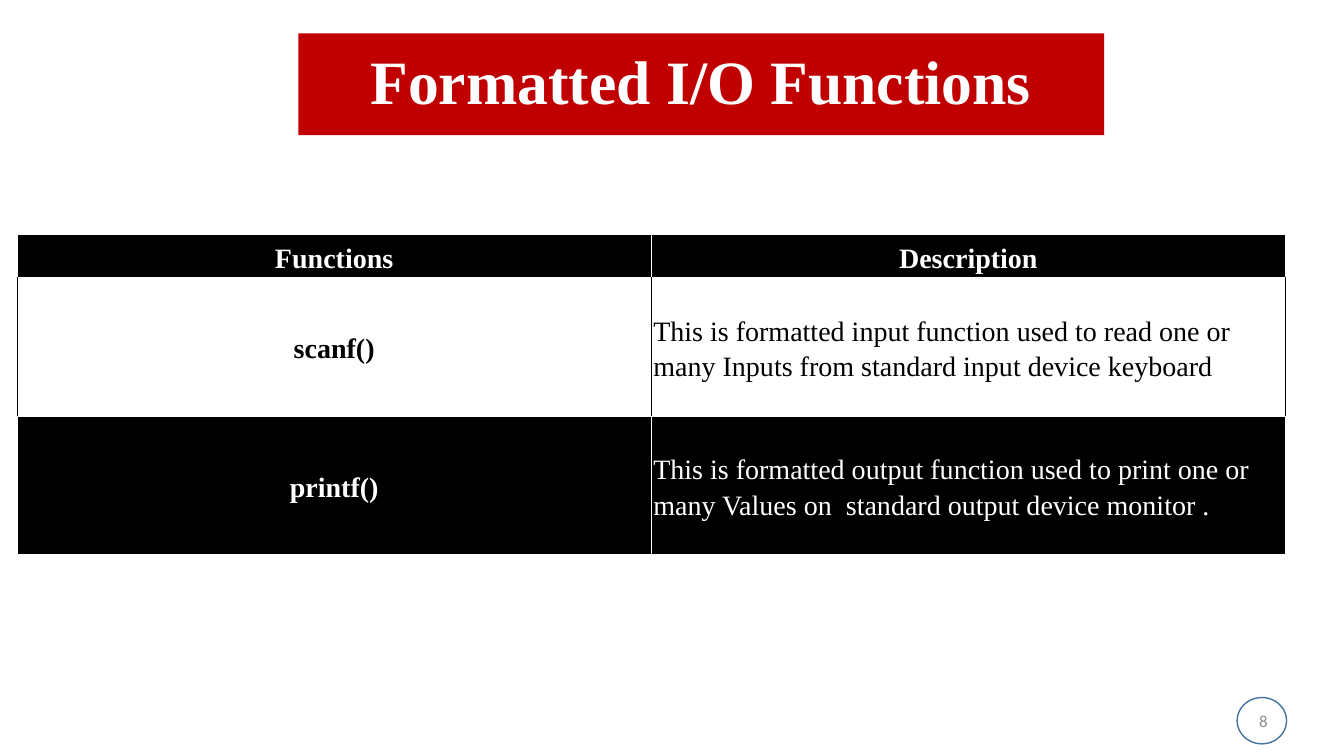
from lxml.etree import SubElement
from pptx import Presentation
from pptx.dml.color import RGBColor
from pptx.enum.shapes import MSO_SHAPE
from pptx.enum.text import MSO_ANCHOR, PP_ALIGN
from pptx.oxml.ns import qn
from pptx.util import Inches, Pt

# Content
TITLE = "Formatted I/O Functions"
PAGE = "8"
ROWS = [
    ("Functions", "Description"),
    ("scanf()", "This is formatted input function used to read one or many "
                "Inputs from standard input device keyboard"),
    ("printf()", "This is formatted output function used to print one or many "
                 "Values on  standard output device monitor ."),
]

# Formats
BLACK = RGBColor(0, 0, 0)
WHITE = RGBColor(0xFF, 0xFF, 0xFF)
RED = RGBColor(0xC0, 0, 0)
GRAY = RGBColor(0x8C, 0x8C, 0x8C)
BLUE = RGBColor(0x43, 0x73, 0x9E)
SERIF = "Times New Roman"
ROW_HEIGHTS = (0.39, 1.38, 1.37)
COLUMN_WIDTH = 6.29
CELL_MARGIN = Inches(0.02)


def write(tf, text, align, spacing, **font):
    tf.word_wrap = True
    tf.vertical_anchor = MSO_ANCHOR.MIDDLE
    p = tf.paragraphs[0]
    p.alignment = align
    p.line_spacing = spacing
    r = p.add_run()
    r.text = text
    color = font.pop("color")
    for name, value in font.items():
        setattr(r.font, name, value)
    r.font.color.rgb = color


def set_borders(cell, side_color):
    tc_pr = cell._tc.get_or_add_tcPr()
    edges = {"a:lnL": side_color, "a:lnR": side_color, "a:lnT": WHITE, "a:lnB": WHITE}
    for tag, color in edges.items():
        ln = SubElement(tc_pr, qn(tag), w=str(Pt(1)))
        fill = SubElement(ln, qn("a:solidFill"))
        SubElement(fill, qn("a:srgbClr"), val=str(color))


prs = Presentation()
prs.slide_width, prs.slide_height = Inches(13.33), Inches(7.5)
s = prs.slides.add_slide(prs.slide_layouts[5])

# Title
title = s.shapes.title
title.left, title.top = Inches(2.96), Inches(0.33)
title.width, title.height = Inches(7.99), Inches(1.01)
title.fill.solid()
title.fill.fore_color.rgb = RED
write(title.text_frame, TITLE, PP_ALIGN.CENTER, 0.9,
      name=SERIF, size=Pt(44), bold=True, color=WHITE)

# Page number in a ring
sp = s.shapes.add_textbox(Inches(9.67), Inches(6.95), Inches(3), Inches(0.4))
write(sp.text_frame, PAGE, PP_ALIGN.RIGHT, 1.0,
      name="Calibri", size=Pt(12), color=GRAY)
ring = s.shapes.add_shape(MSO_SHAPE.OVAL, Inches(12.27), Inches(6.92),
                          Inches(0.49), Inches(0.46))
ring.shadow.inherit = False
ring.fill.background()
ring.line.color.rgb = BLUE
ring.line.width = Pt(1)

# Function table
table = s.shapes.add_table(len(ROWS), 2, Inches(0.17), Inches(2.33),
                           Inches(2 * COLUMN_WIDTH), Inches(sum(ROW_HEIGHTS))).table
for column in table.columns:
    column.width = Inches(COLUMN_WIDTH)
for i, (texts, height) in enumerate(zip(ROWS, ROW_HEIGHTS)):
    table.rows[i].height = Inches(height)
    back, ink = (WHITE, BLACK) if i == 1 else (BLACK, WHITE)
    for j, text in enumerate(texts):
        cell = table.cell(i, j)
        set_borders(cell, ink)
        cell.fill.solid()
        cell.fill.fore_color.rgb = back
        for side in ("left", "top", "right", "bottom"):
            setattr(cell, f"margin_{side}", CELL_MARGIN)
        cell.vertical_anchor = MSO_ANCHOR.MIDDLE
        is_label = i == 0 or j == 0
        p = cell.text_frame.paragraphs[0]
        p.alignment = PP_ALIGN.CENTER if is_label else PP_ALIGN.LEFT
        p.line_spacing = 1.15
        r = p.add_run()
        r.text = text
        for name, value in {"name": SERIF, "size": Pt(20), "bold": is_label}.items():
            setattr(r.font, name, value)
        r.font.color.rgb = ink

prs.save("out.pptx")
